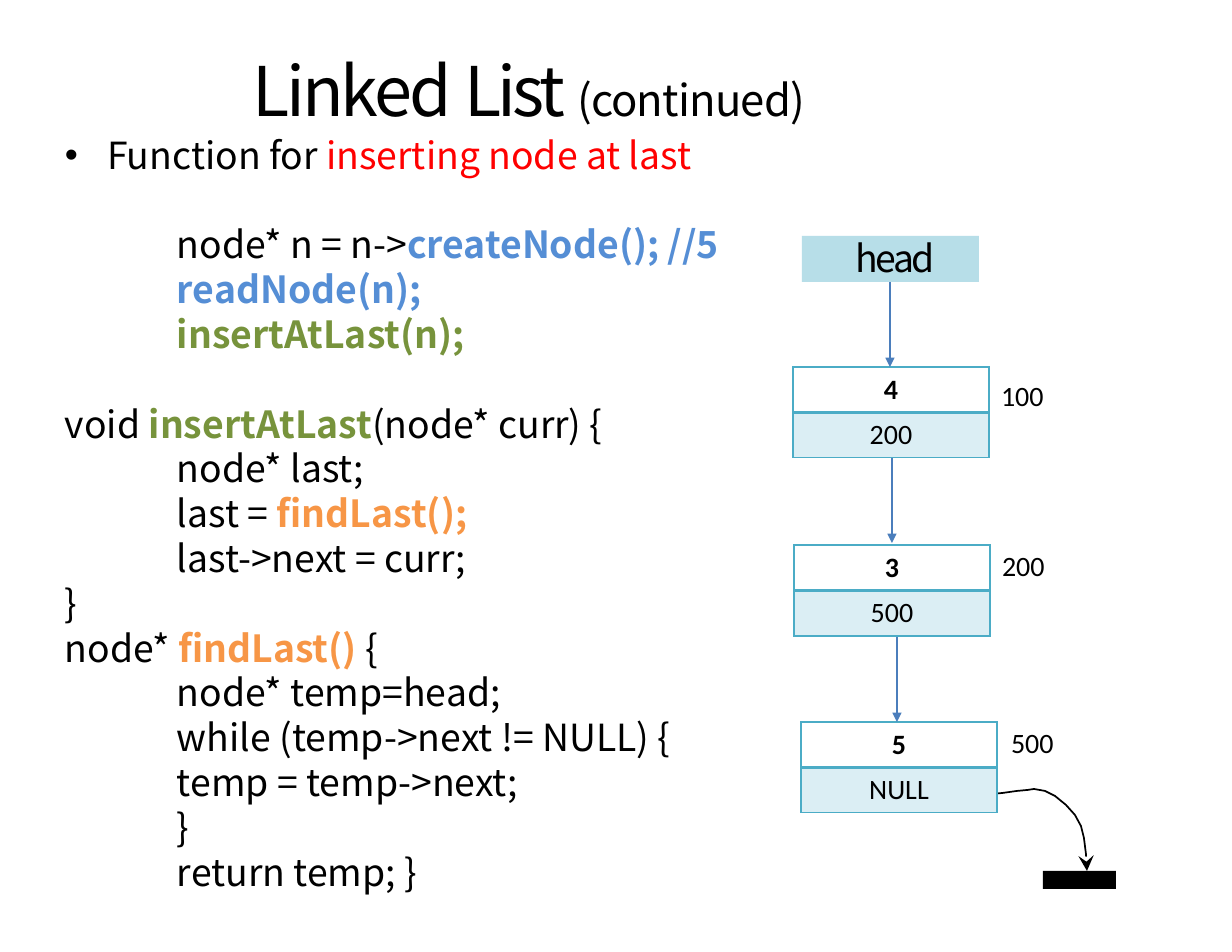
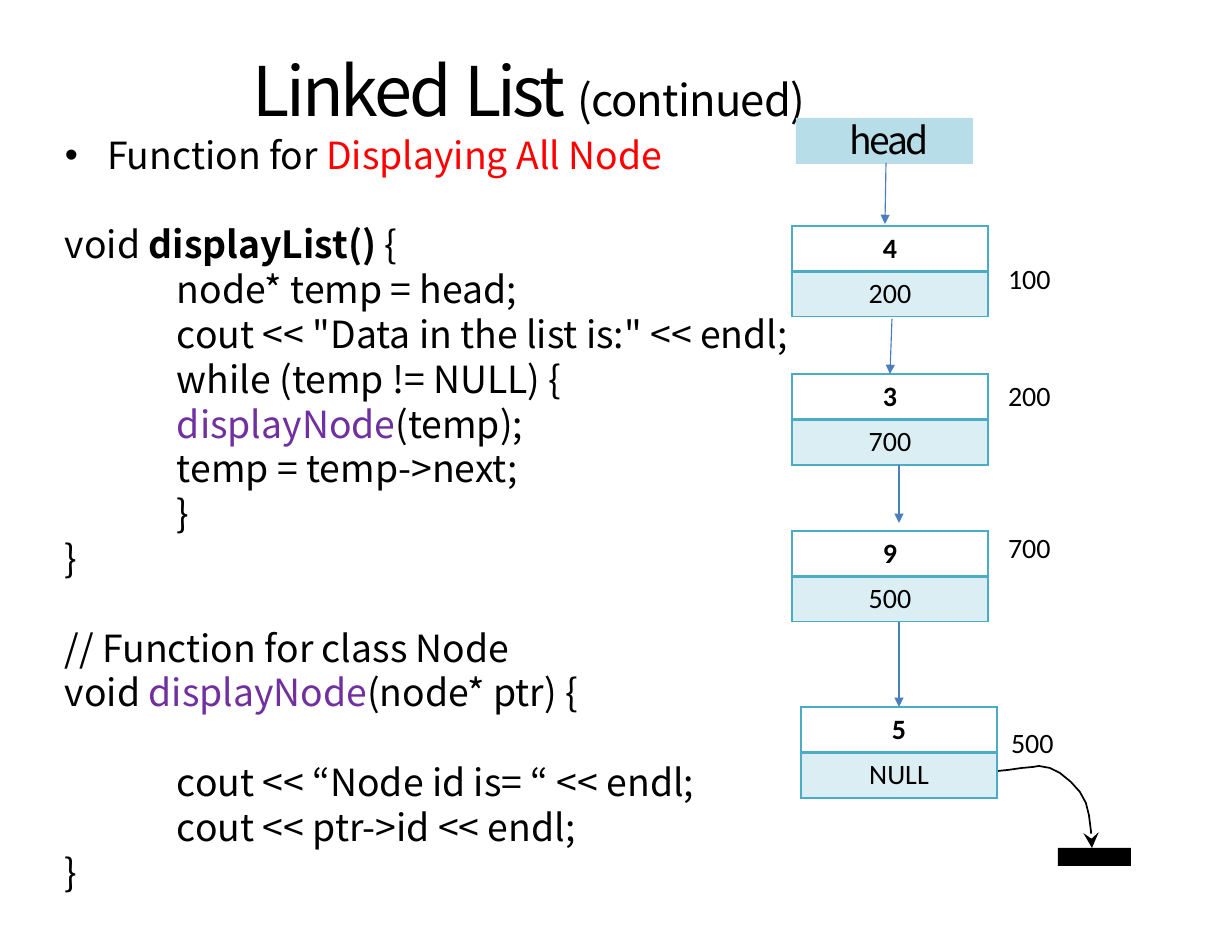
"""Build two linked-list slides: code on the left, node diagram on the right."""
from lxml import etree
from pptx import Presentation
from pptx import util as u
from pptx.dml.color import RGBColor
from pptx.enum import shapes, text
from pptx.oxml import ns

SCALE = 914400 / 112
CODE_FONT, NODE_FONT = "Noto Sans CJK KR", "Calibri"
LINE_PITCH = 28.8
NODE_WIDTH, ROW_HEIGHT = 196, 45
COLOURS = {
    "black": "000000", "red": "FF0000", "blue": "558ED5", "green": "77933C",
    "orange": "F79646", "purple": "7030A0", "head": "B7DEE8",
    "border": "4BACC6", "next": "DBEEF4", "arrow": "4B7EBC",
}
RGB = {name: RGBColor.from_string(value) for name, value in COLOURS.items()}
NULL_CURVE = [(10, -1), (24, -3), (35, -4), (41, -5), (52, -3), (62, 2), (73, 11),
              (82, 21), (88, 32), (91, 44), (93, 60), (94, 77)]

SLIDES = [
    {
        "topic": "inserting node at last",
        "body_size": (1027, 814),
        "code": [
            None,
            (1, [("node* n = n->",), ("createNode(); //5", "blue", True)]),
            (1, [("readNode(n);", "blue", True)]),
            (1, [("insertAtLast(n);", "green", True)]),
            None,
            (0, [("void ",), ("insertAtLast", "green", True), ("(node* curr) {",)]),
            (1, [("node* last;",)]),
            (1, [("last = ",), ("findLast();", "orange", True)]),
            (1, [("last->next = curr;",)]),
            (0, [("}",)]),
            (0, [("node* ",), ("findLast() ", "orange", True), ("{",)]),
            (1, [("node* temp=head;",)]),
            (1, [("while (temp->next != NULL) {",)]),
            (1, [("temp = temp->next;",)]),
            (1, [("}",)]),
            (1, [("return temp; }",)]),
        ],
        "head": (802, 236),
        "nodes": [("4", "200", 793, 367), ("3", "500", 794, 545), ("5", "NULL", 801, 722)],
        "addresses": [("100", 990, 373), ("200", 991, 543), ("500", 1000, 720)],
        "arrows": [(890, 282, 890, 367), (892, 458, 892, 543), (897, 637, 897, 722)],
        "curve": (993, 794),
        "ground": (1043, 871),
    },
    {
        "topic": "Displaying All Node",
        "body_size": (1102, 769),
        "code": [
            None,
            (0, [("void ",), ("displayList() ", "black", True), ("{",)]),
            (1, [("node* temp = head;",)]),
            (1, [('cout << "Data in the list is:" << endl;',)]),
            (1, [("while (temp != NULL) {",)]),
            (1, [("displayNode", "purple"), ("(temp);",)]),
            (1, [("temp = temp->next;",)]),
            (1, [("}",)]),
            (0, [("}",)]),
            None,
            (0, [("// Function for class Node",)]),
            (0, [("void ",), ("displayNode", "purple"), ("(node* ptr) {",)]),
            None,
            (1, [("cout << “Node id is= “ << endl;",)]),
            (1, [("cout << ptr->id << endl;",)]),
            (0, [("}",)]),
        ],
        "head": (796, 118),
        "nodes": [("4", "200", 792, 226), ("3", "700", 792, 374),
                  ("9", "500", 792, 531), ("5", "NULL", 801, 707)],
        "addresses": [("100", 997, 256), ("200", 997, 373),
                      ("700", 997, 525), ("500", 1000, 720)],
        "arrows": [(886, 163, 885, 224), (892, 319, 890, 374),
                   (899, 465, 899, 523), (899, 622, 899, 707)],
        "curve": (998, 771),
        "ground": (1058, 848),
    },
]


def px(*lengths):
    return [u.Emu(round(length * SCALE)) for length in lengths]


def add_run(para, words, colour="black", bold=False, size=24, font=CODE_FONT, spacing=0):
    span = para.add_run()
    span.text = words
    span.font.name = font
    span.font.size = u.Pt(size)
    span.font.bold = bold
    span.font.color.rgb = RGB[colour]
    if spacing:
        span.font._element.set("spc", str(spacing))


deck = Presentation()
deck.slide_width, deck.slide_height = px(1232, 952)

for content in SLIDES:
    page = deck.slides.add_slide(deck.slide_layouts[0])
    title, body = page.placeholders
    places = [(title, (251, 47, 731, 85)), (body, (65, 132, *content["body_size"]))]
    for holder, place in places:
        holder.left, holder.top, holder.width, holder.height = px(*place)
        frame = holder.text_frame
        frame.margin_left = frame.margin_top = frame.margin_right = frame.margin_bottom = 0
        frame.vertical_anchor = text.MSO_ANCHOR.TOP
        frame.auto_size = text.MSO_AUTO_SIZE.NONE
        frame.word_wrap = True

    title.text_frame.margin_left, title.text_frame.margin_top = px(1, 1)
    para = title.text_frame.paragraphs[0]
    para.alignment = text.PP_ALIGN.LEFT
    for words, size, spacing in [("Linked ", 44, -190), ("List ", 44, -240),
                                 ("(continued)", 28, -50)]:
        add_run(para, words, size=size, spacing=spacing)

    para = body.text_frame.paragraphs[0]
    para.alignment = text.PP_ALIGN.LEFT
    para.space_before = u.Pt(0)
    props = para._p.get_or_add_pPr()
    props.set("marL", str(px(42)[0]))
    props.set("indent", str(px(-42)[0]))
    etree.SubElement(props, ns.qn("a:buFont"), typeface="Arial")
    etree.SubElement(props, ns.qn("a:buChar"), char="•")
    add_run(para, "Function for ")
    add_run(para, content["topic"], "red")
    gap = 0
    for line in content["code"]:
        if line is None:
            gap = LINE_PITCH
            continue
        level, spans = line
        para = body.text_frame.add_paragraph()
        para.alignment = text.PP_ALIGN.LEFT
        para.space_before = u.Pt(gap)
        para._p.get_or_add_pPr().set("marL", str(px(112 * level)[0]))
        for span in spans:
            add_run(para, *span)
        gap = 0

    builder = page.shapes.build_freeform(*content["curve"], scale=SCALE)
    left, top = content["curve"]
    builder.add_line_segments([(left + x, top + y) for x, y in NULL_CURVE], close=False)
    curve = builder.convert_to_shape()
    curve.shadow.inherit = False
    curve.fill.background()
    curve.line.color.rgb = RGB["black"]
    curve.line.width = u.Pt(1.1)
    etree.SubElement(curve.line._get_or_add_ln(), ns.qn("a:tailEnd"),
                     type="stealth", w="lg", len="lg")

    for place, size, colour in [(content["head"], (177, 46), "head"),
                                (content["ground"], (73, 18), "black")]:
        box = page.shapes.add_shape(shapes.MSO_SHAPE.RECTANGLE, *px(*place, *size))
        box.shadow.inherit = False
        box.fill.solid()
        box.fill.fore_color.rgb = RGB[colour]
        box.line.fill.background()
        if colour == "head":
            frame = box.text_frame
            frame.margin_left, frame.margin_top, frame.margin_right, frame.margin_bottom = px(54, 0, 0, 0)
            frame.vertical_anchor = text.MSO_ANCHOR.TOP
            para = frame.paragraphs[0]
            para.alignment = text.PP_ALIGN.LEFT
            para.line_spacing = u.Pt(28.3)
            add_run(para, "head", spacing=-170)

    for value, following, left, top in content["nodes"]:
        node = page.shapes.add_table(2, 1, *px(left, top, NODE_WIDTH, 2 * ROW_HEIGHT)).table
        node.first_row = node.horz_banding = False
        for row, words in enumerate((value, following)):
            cell = node.cell(row, 0)
            para = cell.text_frame.paragraphs[0]
            para.alignment = text.PP_ALIGN.CENTER
            add_run(para, words, bold=row == 0, size=18, font=NODE_FONT)
            props = cell._tc.get_or_add_tcPr()
            for side in ("lnL", "lnR", "lnT", "lnB"):
                width = 2 if row == 0 and side == "lnB" else 1
                border = etree.SubElement(props, ns.qn("a:" + side), w=str(u.Pt(width)))
                paint = etree.SubElement(border, ns.qn("a:solidFill"))
                etree.SubElement(paint, ns.qn("a:srgbClr"), val=COLOURS["border"])
            if row == 0:
                cell.fill.background()
            else:
                cell.fill.solid()
                cell.fill.fore_color.rgb = RGB["next"]

    for ends in content["arrows"]:
        arrow = page.shapes.add_connector(shapes.MSO_CONNECTOR.STRAIGHT, *px(*ends))
        arrow.line.color.rgb = RGB["arrow"]
        arrow.line.width = u.Pt(0.75)
        etree.SubElement(arrow.line._get_or_add_ln(), ns.qn("a:tailEnd"), type="triangle")
        etree.SubElement(arrow._element.spPr, ns.qn("a:effectLst"))

    for words, left, top in content["addresses"]:
        box = page.shapes.add_textbox(*px(left, top, 69, 45))
        box.text_frame.word_wrap = True
        add_run(box.text_frame.paragraphs[0], words, size=18, font=NODE_FONT)

deck.save("out.pptx")
